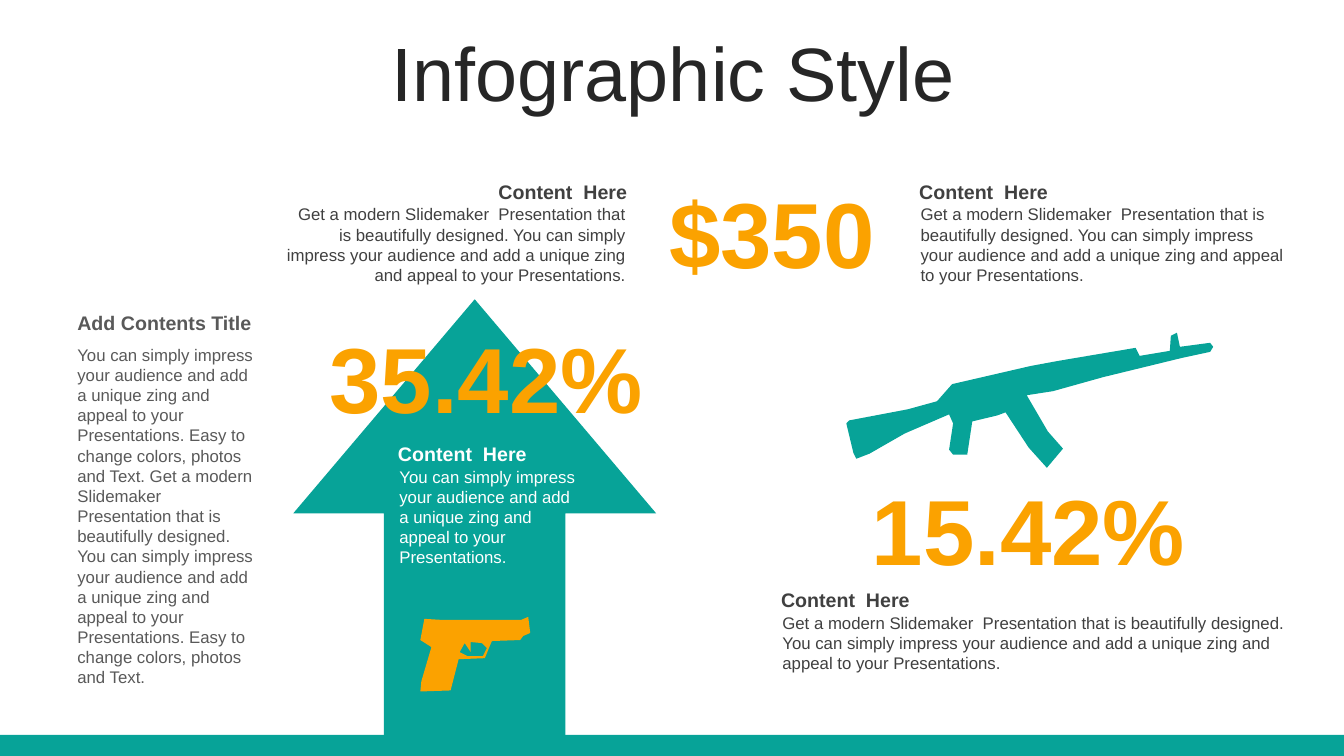
from math import cos, radians, sin

from pptx import Presentation
from pptx.dml.color import RGBColor
from pptx.enum.shapes import MSO_SHAPE as Shape
from pptx.enum.text import MSO_ANCHOR as Anchor, MSO_AUTO_SIZE as AutoSize, PP_ALIGN as Align
from pptx.util import Pt

TEAL = RGBColor(0x07, 0xA3, 0x98)
ORANGE = RGBColor(0xFB, 0xA2, 0x00)
WHITE = RGBColor(0xFF, 0xFF, 0xFF)
INK = RGBColor(0x26, 0x26, 0x26)
DARK = RGBColor(0x40, 0x40, 0x40)
GREY = RGBColor(0x59, 0x59, 0x59)
FONT = "Arial"

# Content
TITLE = "Infographic Style"
HEADING = "Content  Here"
IMPRESS = ("You can simply impress your audience and add a unique zing "
           "and appeal to your Presentations.")
MODERN = "Get a modern Slidemaker  Presentation that is beautifully designed."
EASY = "Easy to change colors, photos and Text."
PITCH = f"{MODERN} {IMPRESS}"
SIDEBAR_TITLE = "Add Contents Title"
SIDEBAR = f"{IMPRESS} {EASY} {MODERN} {IMPRESS} {EASY}"

# figure, left, top, width
FIGURES = [
    ("35.42%", 228.3, 226.1, 240.5),
    ("15.42%", 615.6, 334.1, 240.5),
    ("$350", 470.9, 122.4, 162.7),
]
# body, left, top, width, body lines, alignment, colour
BLOCKS = [
    (IMPRESS, 277.2, 311.8, 142.6, 5, Align.LEFT, WHITE),
    (PITCH, 550.8, 416.3, 378, 3, Align.LEFT, DARK),
    (PITCH, 649.5, 124.6, 278.6, 4, Align.LEFT, DARK),
    (PITCH, 197.3, 124.6, 257.8, 4, Align.RIGHT, DARK),
]

# Silhouettes on the slide, in hundredths of an inch
PISTOL = [
    [(417, 686), (418, 676), (428, 642), (417, 635), (421, 614), (438, 615), (517, 615),
     (524, 612), (526, 628), (519, 631), (516, 635), (488, 636), (485, 643), (481, 653),
     (455, 654), (447, 685)],
    [(467, 647), (461, 638), (456, 647), (464, 651), (479, 651), (483, 643), (478, 638),
     (467, 637)],
]
RIFLE = [[
    (1201, 340), (1171, 344), (1168, 330), (1162, 333), (1161, 348), (1131, 353),
    (1127, 345), (1050, 358), (1023, 363), (945, 381), (930, 398), (901, 406),
    (843, 417), (840, 420), (847, 449), (850, 455), (863, 450), (898, 430),
    (942, 411), (946, 420), (942, 446), (946, 451), (960, 451), (965, 418),
    (990, 412), (998, 409), (1021, 444), (1039, 464), (1055, 445), (1040, 428),
    (1019, 392), (1045, 388), (1095, 374), (1173, 355), (1201, 349), (1204, 344),
]]
RIFLE_CENTRE = (1028.5, 412)
RIFLE_TILT = 12.6

deck = Presentation()
deck.slide_width, deck.slide_height = Pt(960), Pt(540)
slide = deck.slides.add_slide(deck.slide_layouts[5])


def paint(shape, colour):
    shape.shadow.inherit = False
    shape.fill.solid()
    shape.fill.fore_color.rgb = colour
    shape.line.fill.background()


def write(frame, text, size, colour, bold=False, align=Align.LEFT):
    frame.text = text
    line = frame.paragraphs[0]
    line.alignment = align
    line.font.name, line.font.size, line.font.bold = FONT, Pt(size), bold
    line.font.color.rgb = colour


def add_text(text, left, top, width, height, size, colour, bold=False,
             align=Align.LEFT, wrap=True, anchor=Anchor.TOP):
    frame = slide.shapes.add_textbox(Pt(left), Pt(top), Pt(width), Pt(height)).text_frame
    frame.word_wrap = wrap
    frame.auto_size = AutoSize.SHAPE_TO_FIT_TEXT
    frame.vertical_anchor = anchor
    write(frame, text, size, colour, bold, align)


def add_outline(contours, colour, centre=(0, 0), tilt=0):
    """Draw contours level, then tilt the shape back by the same angle."""
    c, s = cos(radians(tilt)), sin(radians(tilt))
    cx, cy = centre

    def level(point):
        dx, dy = point[0] - cx, point[1] - cy
        return Pt((cx + dx * c - dy * s) * 0.72), Pt((cy + dx * s + dy * c) * 0.72)

    builder = None
    for contour in contours:
        start, *rest = [level(point) for point in contour]
        if builder is None:
            builder = slide.shapes.build_freeform(*start, scale=1.0)
        else:
            builder.move_to(*start)
        builder.add_line_segments(rest, close=True)
    outline = builder.convert_to_shape()
    outline.rotation = -tilt
    paint(outline, colour)


# Title
title = slide.shapes.title
title.left, title.top, title.width, title.height = Pt(25.2), Pt(26.6), Pt(911.5), Pt(56.9)
title.text_frame.auto_size = AutoSize.NONE
title.text_frame.vertical_anchor = Anchor.MIDDLE
write(title.text_frame, TITLE, 54, INK, align=Align.CENTER)
title.text_frame.paragraphs[0].line_spacing = 0.9

# Ground bar and arrow
ground = slide.shapes.add_shape(Shape.RECTANGLE, 0, Pt(524.9), Pt(960), Pt(15.1))
paint(ground, TEAL)
arrow = slide.shapes.add_shape(Shape.UP_ARROW, Pt(209.5), Pt(213.8), Pt(259.2), Pt(314.6))
arrow.adjustments[0], arrow.adjustments[1] = 0.5, 0.59
paint(arrow, TEAL)

# Silhouettes
add_outline(PISTOL, ORANGE)
add_outline(RIFLE, TEAL, RIFLE_CENTRE, RIFLE_TILT)

# Large figures
for figure, left, top, width in FIGURES:
    add_text(figure, left, top, width, 87.1, 66, ORANGE, bold=True, wrap=False)

# Headed text blocks
for body, left, top, width, lines, align, colour in BLOCKS:
    add_text(HEADING, left, top, width, 24.2, 14, colour, True, align, anchor=Anchor.MIDDLE)
    indent = 1 if align == Align.LEFT else 0
    add_text(body, left + indent, top + 17.7, width - 1, lines * 14.4 + 7.2, 12, colour,
             align=align)

# Sidebar
add_text(SIDEBAR_TITLE, 48.2, 218.2, 141.8, 24.2, 14, GREY, bold=True)
add_text(SIDEBAR, 48.2, 242.6, 141.8, 254.2, 12, GREY)

deck.save("out.pptx")
